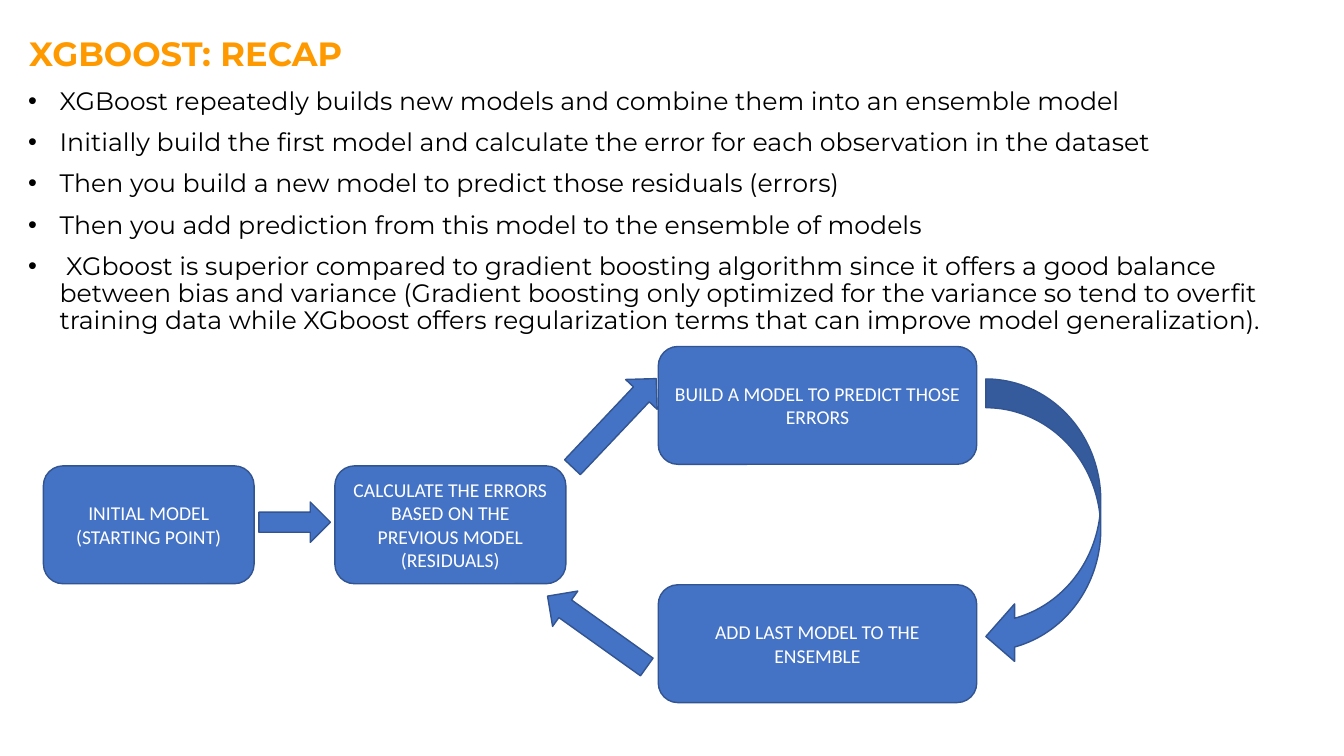
from dataclasses import dataclass
from lxml.etree import SubElement
from pptx import Presentation
from pptx.dml.color import RGBColor
from pptx.enum.shapes import MSO_SHAPE
from pptx.enum.text import MSO_ANCHOR, PP_ALIGN
from pptx.oxml.ns import qn
from pptx.util import Pt


@dataclass(frozen=True)
class Theme:
    title: RGBColor = RGBColor(0xFF, 0x99, 0x00)
    ink: RGBColor = RGBColor(0, 0, 0)
    fill: RGBColor = RGBColor(0x44, 0x72, 0xC4)
    edge: RGBColor = RGBColor(0x32, 0x54, 0x91)
    label: RGBColor = RGBColor(0xFF, 0xFF, 0xFF)
    head: str = "Montserrat"
    body: str = "Calibri"
    large: int = 24
    medium: int = 18
    small: int = 14


theme = Theme()


def style(para, face, size, color, bold=False):
    font = para.font
    font.name, font.size, font.bold = face, Pt(size), bold
    font.color.rgb = color


def draw(kind, left, top, width, height, turn=0):
    shape = slide.shapes.add_shape(kind, Pt(left), Pt(top), Pt(width), Pt(height))
    shape.rotation = turn
    shape.shadow.inherit = False
    shape.fill.solid()
    shape.fill.fore_color.rgb = theme.fill
    shape.line.color.rgb = theme.edge
    shape.line.width = Pt(1)
    return shape


deck = Presentation()
deck.slide_width, deck.slide_height = Pt(960), Pt(540)
slide = deck.slides.add_slide(deck.slide_layouts[6])

title = slide.shapes.add_textbox(Pt(17.3), Pt(20.2), Pt(597.6), Pt(36)).text_frame
title.word_wrap = True
title.margin_left = title.margin_right = Pt(3.6)
title.margin_top = title.margin_bottom = Pt(3.6)
title.text = "XGBOOST: RECAP"
style(title.paragraphs[0], theme.head, theme.large, theme.title, True)

steps = [
    ("INITIAL MODEL (STARTING POINT)", 31, 332.8, 150.5),
    ("CALCULATE THE ERRORS BASED ON THE PREVIOUS MODEL (RESIDUALS)", 239.2, 332.8, 165),
    ("BUILD A MODEL TO PREDICT THOSE ERRORS", 470.2, 247.5, 227.5),
    ("ADD LAST MODEL TO THE ENSEMBLE", 470.2, 417.7, 227.5),
]
for label, left, top, width in steps:
    frame = draw(MSO_SHAPE.ROUNDED_RECTANGLE, left, top, width, 84.2).text_frame
    frame.word_wrap = True
    frame.vertical_anchor = MSO_ANCHOR.MIDDLE
    frame.text = label
    para = frame.paragraphs[0]
    para.alignment = PP_ALIGN.CENTER
    style(para, theme.body, theme.small, theme.label)

arrows = [
    (MSO_SHAPE.RIGHT_ARROW, 184.9, 358.6, 51.1, 28.8, 0),
    (MSO_SHAPE.RIGHT_ARROW, 395.3, 286.6, 87.1, 31, 313.4),
    (MSO_SHAPE.RIGHT_ARROW, 383, 435.6, 87.1, 31, 215.5),
    (MSO_SHAPE.CURVED_LEFT_ARROW, 704.2, 270.7, 82.1, 204.5, 0),
]
for arrow in arrows:
    draw(*arrow)

points = [
    "XGBoost repeatedly builds new models and combine them into an ensemble model",
    "Initially build the first model and calculate the error for each observation in the dataset",
    "Then you build a new model to predict those residuals (errors)",
    "Then you add prediction from this model to the ensemble of models",
    " XGboost is superior compared to gradient boosting algorithm since it offers a good balance "
    "between bias and variance (Gradient boosting only optimized for the variance so tend to overfit "
    "training data while XGboost offers regularization terms that can improve model generalization).",
]
recap = slide.shapes.add_textbox(Pt(13), Pt(59.8), Pt(934.6), Pt(356.4)).text_frame
recap.word_wrap = True
recap.text = "\n".join(points)
for para in recap.paragraphs:
    para.line_spacing = 0.9
    para.space_before = Pt(10)
    style(para, theme.head, theme.medium, theme.ink)
    props = para._p.get_or_add_pPr()
    props.set("marL", str(Pt(22.5)))
    props.set("indent", str(Pt(-22.5)))
    face = SubElement(props, qn("a:buFont"), typeface="Arial")
    mark = SubElement(props, qn("a:buChar"), char="•")
    props.find(qn("a:defRPr")).addprevious(face)
    face.addnext(mark)

deck.save("out.pptx")
